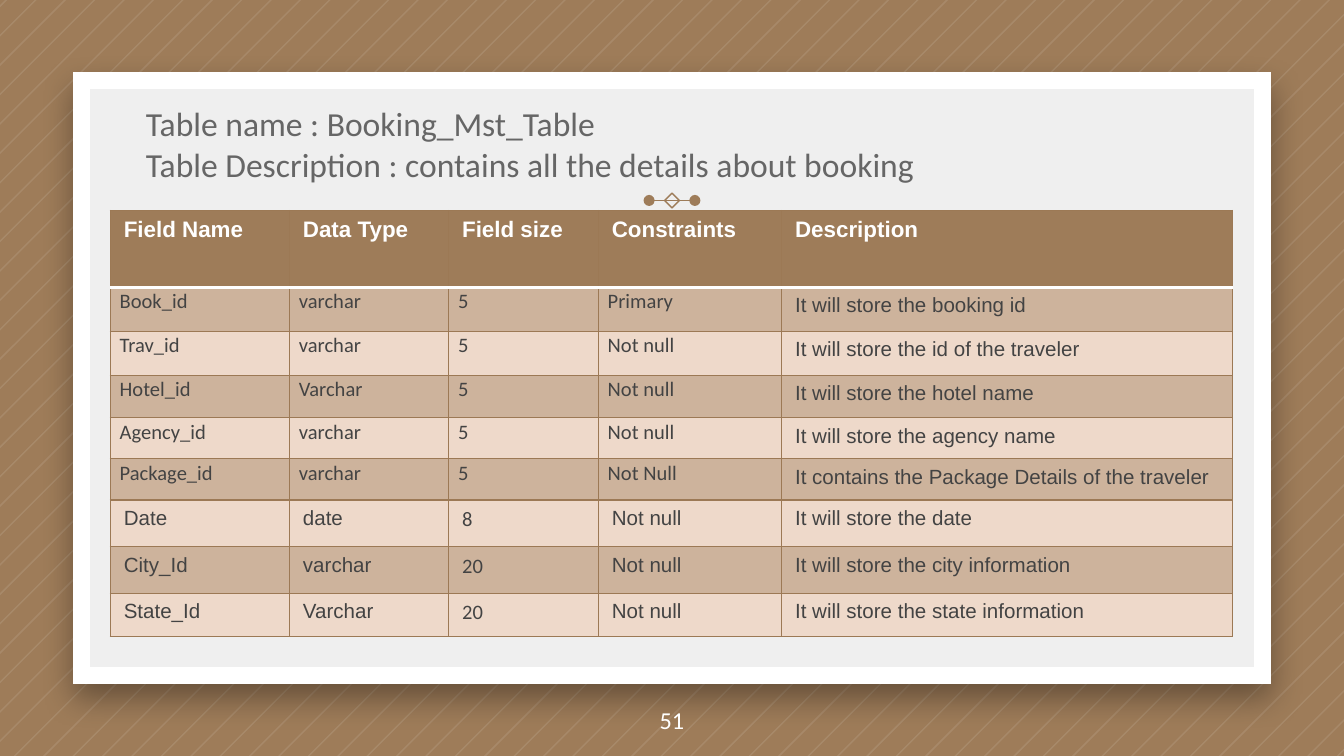
from dataclasses import dataclass
from typing import Any

from lxml.etree import SubElement
from pptx import Presentation
from pptx.dml.color import RGBColor
from pptx.enum.shapes import MSO_CONNECTOR, MSO_SHAPE
from pptx.enum.text import MSO_ANCHOR, MSO_AUTO_SIZE, PP_ALIGN
from pptx.oxml import parse_xml
from pptx.oxml.ns import nsdecls, qn
from pptx.util import Pt

WIDTH, HEIGHT = 720, 405
BROWN, WHITE, BORDER = "9E7C59", "FFFFFF", "9C7955"
DARK_ROW, LIGHT_ROW, BODY_INK = "CDB39C", "EED9CA", "434343"
STRIPES, STRIPE_START, STRIPE_STEP, STRIPE_WIDTH = 72, 2.85, 15.75, 1.1

COLUMN_WIDTHS = (96, 85.3, 80.2, 98.2, 241.7)
ROW_HEIGHTS = (41.25, 23.6, 23.5, 22.8, 22, 22, 25.1, 25, 23.3)
ROWS = (
    ("Field Name", "Data Type", "Field size", "Constraints", "Description"),
    ("Book_id", "varchar", "5", "Primary", "It will store the booking id"),
    ("Trav_id", "varchar", "5", "Not null", "It will store the id of the traveler"),
    ("Hotel_id", "Varchar", "5", "Not null", "It will store the hotel name"),
    ("Agency_id", "varchar", "5", "Not null", "It will store the agency name"),
    ("Package_id", "varchar", "5", "Not Null",
     "It contains the Package Details of the traveler"),
    ("Date", "date", "8", "Not null", "It will store the date"),
    ("City_Id", "varchar", "20", "Not null", "It will store the city information"),
    ("State_Id", "Varchar", "20", "Not null", "It will store the state information"),
)
LAST_TIGHT_ROW = 5


@dataclass
class Box:
    left: float
    top: float
    width: float
    height: float

    def lengths(self) -> tuple:
        return tuple(Pt(n) for n in (self.left, self.top, self.width, self.height))


@dataclass
class TextStyle:
    font: str
    size: float
    color: str
    bold: bool = False


def color(value: str) -> RGBColor:
    return RGBColor.from_string(value)


def assign(target: Any, values: dict) -> None:
    for name, value in values.items():
        setattr(target, name, value)


def write(frame: Any, text: str, style: TextStyle, **para_format: Any) -> None:
    para = frame.paragraphs[0]
    para.text = text
    assign(para, para_format)
    for span in para.runs:
        assign(span.font, {"name": style.font, "size": Pt(style.size),
                           "bold": style.bold})
        span.font.color.rgb = color(style.color)


def set_line(shape: Any, value: str, width: float) -> None:
    shape.line.color.rgb = color(value)
    shape.line.width = Pt(width)


def draw_stripes(page: Any) -> None:
    builder = None
    for index in range(STRIPES):
        near = STRIPE_START + index * STRIPE_STEP
        far = near + STRIPE_WIDTH
        # Each edge is the line x + y = reach, cut off at the slide's sides
        upper = [(min(reach, WIDTH), max(0, reach - WIDTH)) for reach in (near, far)]
        lower = [(max(0, reach - HEIGHT), min(reach, HEIGHT)) for reach in (near, far)]
        corners = [(Pt(x), Pt(y)) for x, y in (upper[0], lower[0], lower[1], upper[1])]
        if builder is None:
            builder = page.shapes.build_freeform(*corners[0])
        else:
            builder.move_to(*corners[0])
        builder.add_line_segments(corners[1:], close=True)
    stripes = builder.convert_to_shape()
    stripes.shadow.inherit = False
    stripes.line.fill.background()
    stripes.fill.solid()
    stripes.fill.fore_color.rgb = color(WHITE)
    tint = stripes.fill._xPr.find(qn("a:solidFill"))[0]
    SubElement(tint, qn("a:alpha"), val="10000")


def draw_card(page: Any, box: Box) -> None:
    card = page.shapes.add_shape(MSO_SHAPE.RECTANGLE, *box.lengths())
    card.fill.solid()
    card.fill.fore_color.rgb = color("EFEFEF")
    set_line(card, WHITE, 9)
    card.line._get_or_add_ln().append(parse_xml(f'<a:miter {nsdecls("a")} lim="800000"/>'))
    card.shadow.inherit = False
    effects = card._element.spPr.find(qn("a:effectLst"))
    effects.append(parse_xml(
        f'<a:outerShdw {nsdecls("a")} blurRad="{Pt(16.9)}" dist="{Pt(7.5)}" '
        'dir="5400000" algn="t" rotWithShape="0"><a:srgbClr val="000000">'
        '<a:alpha val="35000"/></a:srgbClr></a:outerShdw>'))


def draw_ornament(page: Any, center_x: float, center_y: float) -> None:
    reach, half = 12.25, 3.95
    group = page.shapes.add_group_shape()
    bar = group.shapes.add_connector(
        MSO_CONNECTOR.STRAIGHT, Pt(center_x - reach), Pt(center_y),
        Pt(center_x + reach), Pt(center_y))
    set_line(bar, BROWN, 0.75)
    for end in ("a:headEnd", "a:tailEnd"):
        SubElement(bar.line._get_or_add_ln(), qn(end), type="oval")
    SubElement(bar._element.spPr, qn("a:effectLst"))
    box = Box(center_x - half, center_y - half, 2 * half, 2 * half)
    diamond = group.shapes.add_shape(MSO_SHAPE.DIAMOND, *box.lengths())
    diamond.fill.background()
    diamond.shadow.inherit = False
    set_line(diamond, BROWN, 0.75)


def format_frame(frame: Any, anchor: MSO_ANCHOR) -> None:
    margins = {f"margin_{side}": Pt(7.2) for side in ("left", "right", "top", "bottom")}
    assign(frame, {"word_wrap": True, "auto_size": MSO_AUTO_SIZE.NONE,
                   "vertical_anchor": anchor, **margins})


def set_borders(cell: Any, row: int) -> None:
    white_sides = {0: "B", 1: "T"}
    for place, side in enumerate("LRTB"):
        value, width = (WHITE, 2) if white_sides.get(row) == side else (BORDER, 0.75)
        cell._tc.get_or_add_tcPr().insert(place, parse_xml(
            f'<a:ln{side} {nsdecls("a")} w="{Pt(width)}"><a:solidFill>'
            f'<a:srgbClr val="{value}"/></a:solidFill></a:ln{side}>'))


def draw_table(page: Any, left: float, top: float) -> None:
    box = Box(left, top, sum(COLUMN_WIDTHS), sum(ROW_HEIGHTS))
    table = page.shapes.add_table(len(ROWS), len(COLUMN_WIDTHS), *box.lengths()).table
    table.horz_banding = False
    for column, width in zip(table.columns, COLUMN_WIDTHS):
        column.width = Pt(width)
    for row, (texts, height) in enumerate(zip(ROWS, ROW_HEIGHTS)):
        table.rows[row].height = Pt(height)
        fill = BROWN if row == 0 else DARK_ROW if row % 2 else LIGHT_ROW
        for col, text in enumerate(texts):
            cell = table.cell(row, col)
            cell.fill.solid()
            cell.fill.fore_color.rgb = color(fill)
            tight = 1 <= row <= LAST_TIGHT_ROW and col < 4
            calibri = tight or (row > LAST_TIGHT_ROW and col == 2)
            style = TextStyle("Calibri" if calibri else "Arial", 11, BODY_INK)
            if row == 0:
                style = TextStyle("Arial", 12, WHITE, True)
            if tight:
                assign(cell, {"margin_left": Pt(5), "margin_right": Pt(5),
                              "margin_top": 0, "margin_bottom": 0})
            write(cell.text_frame, text, style, line_spacing=1.07 if tight else 1.0)
            set_borders(cell, row)


def main() -> None:
    deck = Presentation()
    deck.slide_width, deck.slide_height = Pt(WIDTH), Pt(HEIGHT)
    page = deck.slides.add_slide(deck.slide_layouts[5])

    # Striped background, card and ornament
    page.background.fill.solid()
    page.background.fill.fore_color.rgb = color(BROWN)
    draw_stripes(page)
    draw_card(page, Box(43.7, 43, 632.6, 319))
    draw_ornament(page, WIDTH / 2, 107.4)

    # Title, raised above the card
    title = page.shapes.title
    page.shapes._spTree.append(title._element)
    title.left, title.top, title.width, title.height = Box(71, 58.1, 578, 47.7).lengths()
    format_frame(title.text_frame, MSO_ANCHOR.BOTTOM)
    write(title.text_frame,
          "Table name : Booking_Mst_Table\v"
          "Table Description : contains all the details about booking",
          TextStyle("Calibri", 18, "666666"), alignment=PP_ALIGN.LEFT)

    # Page number
    number = page.shapes.add_textbox(*Box(0, 366, WIDTH, 39).lengths())
    format_frame(number.text_frame, MSO_ANCHOR.MIDDLE)
    write(number.text_frame, "51", TextStyle("Calibri", 13, WHITE),
          alignment=PP_ALIGN.CENTER)

    # Field table
    draw_table(page, 59.1, 112.7)
    deck.save("out.pptx")


if __name__ == "__main__":
    main()
